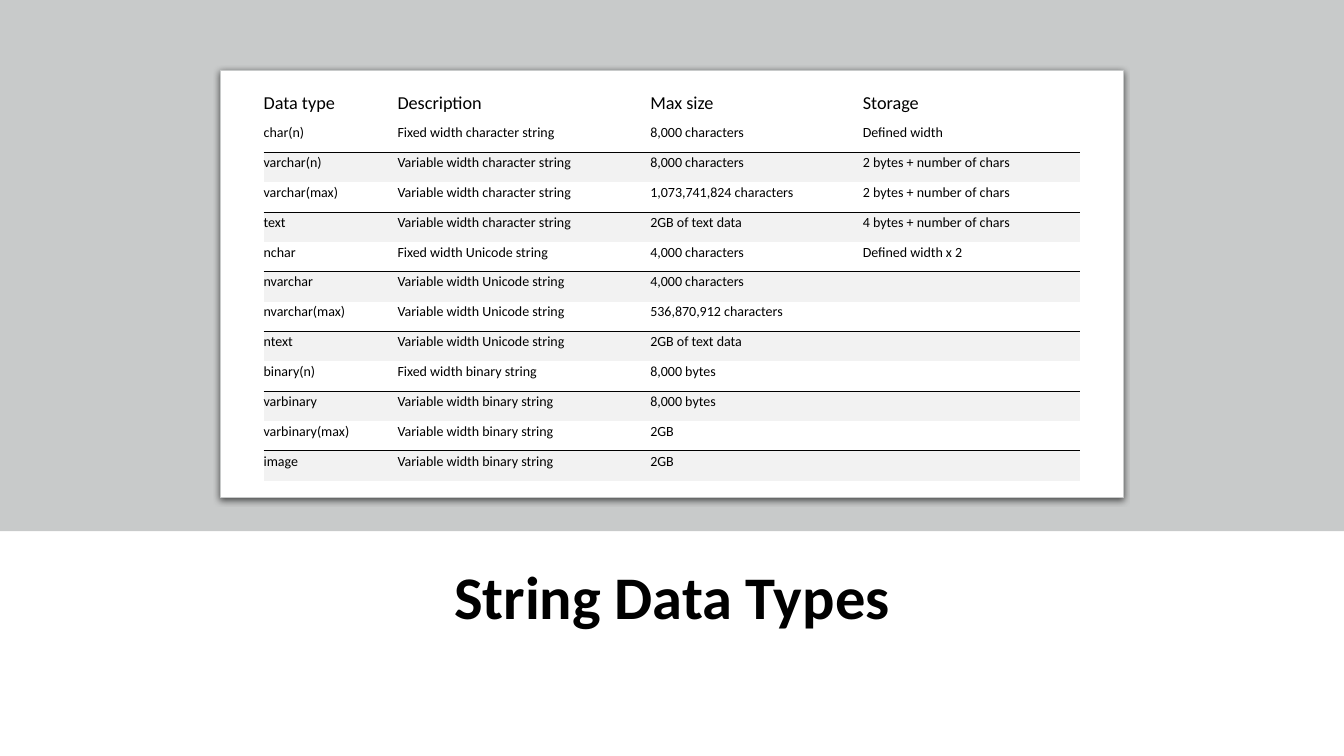
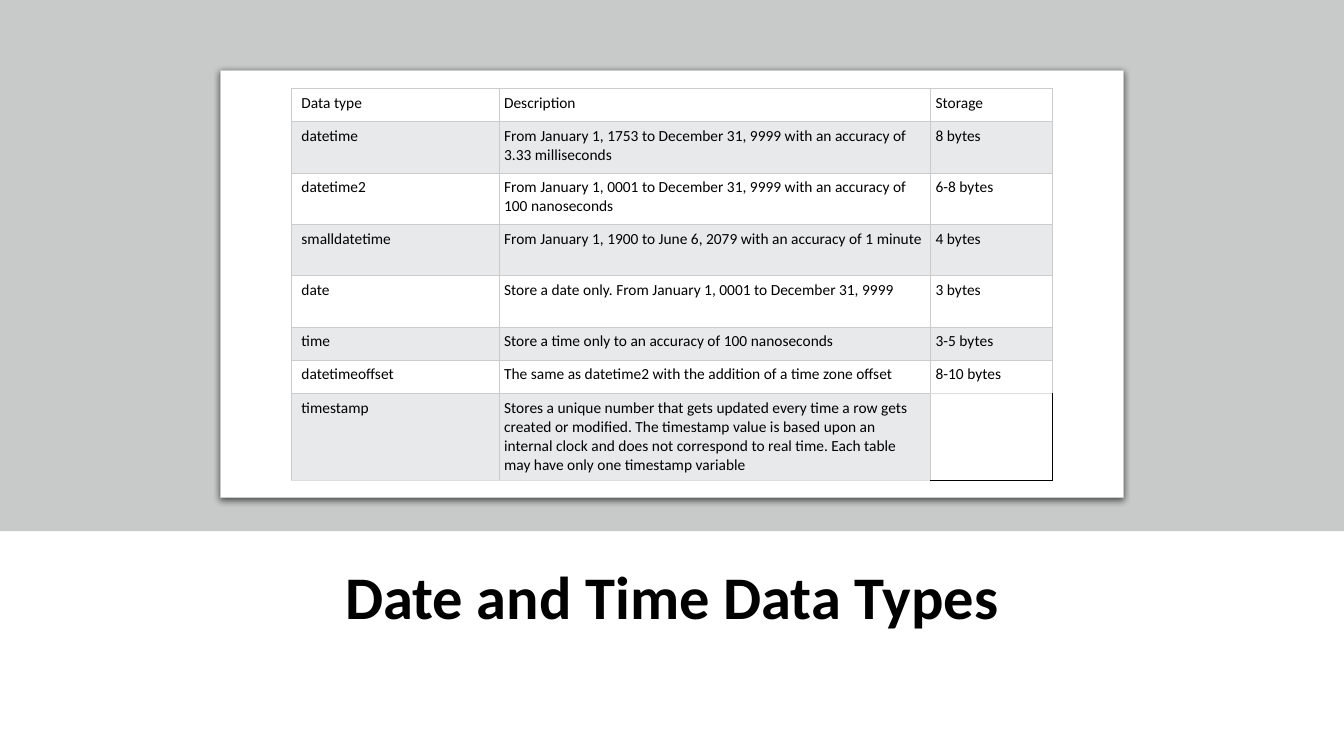
from lxml.etree import SubElement
from pptx import Presentation
from pptx.dml.color import RGBColor
from pptx.enum.shapes import MSO_SHAPE
from pptx.enum.text import MSO_ANCHOR, MSO_AUTO_SIZE, PP_ALIGN
from pptx.oxml.ns import qn
from pptx.util import Inches, Pt

THEME = {
    "font": "Calibri", "ink": "000000", "paper": "FFFFFF", "band": "C8CACA",
    "stripe": "F2F2F2", "tint": "E7E9EB", "grid": "CCCCCC", "pale": "DDDDDD",
    "title": 43.2, "head": 13, "cell": 10, "date": 11, "line": 0.75,
}
SLOTS = {
    "title": (74.53, 89.5, 9.73),
    "band": (0, 100, 70.27),
    "card": (9.33, 67.14, 56.53),
}
TABLE = (11.73, 51.87)

STRINGS = [
    ("Data type", "Description", "Max size", "Storage"),
    ("char(n)", "Fixed width character string", "8,000 characters", "Defined width"),
    ("varchar(n)", "Variable width character string", "8,000 characters", "2 bytes + number of chars"),
    ("varchar(max)", "Variable width character string", "1,073,741,824 characters", "2 bytes + number of chars"),
    ("text", "Variable width character string", "2GB of text data", "4 bytes + number of chars"),
    ("nchar", "Fixed width Unicode string", "4,000 characters", "Defined width x 2"),
    ("nvarchar", "Variable width Unicode string", "4,000 characters", ""),
    ("nvarchar(max)", "Variable width Unicode string", "536,870,912 characters", ""),
    ("ntext", "Variable width Unicode string", "2GB of text data", ""),
    ("binary(n)", "Fixed width binary string", "8,000 bytes", ""),
    ("varbinary", "Variable width binary string", "8,000 bytes", ""),
    ("varbinary(max)", "Variable width binary string", "2GB", ""),
    ("image", "Variable width binary string", "2GB", ""),
]
DATES = [
    ("Data type", "Description", "Storage"),
    ("datetime", "From January 1, 1753 to December 31, 9999 with an accuracy of 3.33 milliseconds", "8 bytes"),
    ("datetime2", "From January 1, 0001 to December 31, 9999 with an accuracy of 100 nanoseconds", "6-8 bytes"),
    ("smalldatetime", "From January 1, 1900 to June 6, 2079 with an accuracy of 1 minute", "4 bytes"),
    ("date", "Store a date only. From January 1, 0001 to December 31, 9999", "3 bytes"),
    ("time", "Store a time only to an accuracy of 100 nanoseconds", "3-5 bytes"),
    ("datetimeoffset", "The same as datetime2 with the addition of a time zone offset", "8-10 bytes"),
    ("timestamp", "Stores a unique number that gets updated every time a row gets created or modified. "
     "The timestamp value is based upon an internal clock and does not correspond to real time. "
     "Each table may have only one timestamp variable", ""),
]


def ruled(row, col):
    edge = {}
    if row:
        edge = {"B": "ink"} if row % 2 else {"T": "ink"}
    if row == len(STRINGS) - 1:
        edge["B"] = None
    return {
        "edge": edge,
        "fill": "stripe" if row and row % 2 == 0 else None,
        "size": "cell" if row else "head",
        "inset": (0, 0.02, 0.02, 0.08),
        "anchor": MSO_ANCHOR.TOP if row else MSO_ANCHOR.BOTTOM,
    }


def boxed(row, col):
    edge = dict.fromkeys("LRTB", "grid")
    fill = "tint" if row % 2 else "paper"
    last = len(DATES) - 1
    if row == last or (row, col) == (last - 1, 2):
        edge["B"] = "pale"
    if (row, col) == (last, 2):
        edge.update(R="ink", T="pale", B="ink")
        fill = None
    return {
        "edge": edge, "fill": fill, "size": "date",
        "inset": (0.05 if col else 0.1, 0.05, 0.05, 0.05),
        "anchor": MSO_ANCHOR.TOP,
    }


PAGES = [
    {"title": "String Data Types", "rows": STRINGS, "look": ruled, "wide": 60.77,
     "cols": (1.33, 2.51, 2.11, 2.16), "tall": [0.34] + [0.3] * 12},
    {"title": "Date and Time Data Types", "rows": DATES, "look": boxed, "wide": 56.64,
     "cols": (2.06, 4.28, 1.21), "tall": [0.33] + [0.51] * 4 + [0.33] * 2 + [0.87]},
]

deck = Presentation()
deck.slide_width, deck.slide_height = Inches(13.33), Inches(7.5)


def color(name):
    return RGBColor.from_string(THEME[name])


def put(item, values):
    for name, value in values.items():
        setattr(item, name, value)


def place(top, wide, tall):
    return [int(side * part / 100) for side, part in (
        (deck.slide_width, (100 - wide) / 2), (deck.slide_height, top),
        (deck.slide_width, wide), (deck.slide_height, tall))]


def style(font, size, bold=False):
    put(font, {"name": THEME["font"], "size": Pt(THEME[size]), "bold": bold})
    font.color.rgb = color("ink")


def write_title(slide, text):
    title = slide.shapes.title
    put(title, dict(zip(("left", "top", "width", "height"), place(*SLOTS["title"]))))
    frame = title.text_frame
    frame.text = text
    put(frame, {"vertical_anchor": MSO_ANCHOR.MIDDLE, "word_wrap": True,
                "auto_size": MSO_AUTO_SIZE.NONE})
    line = frame.paragraphs[0]
    put(line, {"alignment": PP_ALIGN.CENTER, "line_spacing": 0.9})
    style(line.runs[0].font, "title", True)


def draw_box(slide, kind, slot, fill):
    box = slide.shapes.add_shape(kind, *place(*SLOTS[slot]))
    box.shadow.inherit = False
    box.fill.solid()
    box.fill.fore_color.rgb = color(fill)
    box.line.fill.background()
    return box


def draw_card(slide):
    card = draw_box(slide, MSO_SHAPE.ROUNDED_RECTANGLE, "card", "paper")
    card.adjustments[0] = 0
    card.line.color.rgb = color("band")
    card.line.width = Pt(THEME["line"])
    effects = card.element.spPr.find(qn("a:effectLst"))
    shade = SubElement(effects, qn("a:outerShdw"), blurRad=str(Pt(4.5)),
                       dist=str(Pt(1.5)), dir="5400000", algn="t", rotWithShape="0")
    tone = SubElement(shade, qn("a:srgbClr"), val=THEME["ink"])
    SubElement(tone, qn("a:alpha"), val="63000")


def draw_edges(cell, edge):
    props = cell._tc.get_or_add_tcPr()
    for side in "LRTB":
        name = edge.get(side)
        line = SubElement(props, qn("a:ln" + side), w=str(Pt(THEME["line"])))
        if name:
            fill = SubElement(line, qn("a:solidFill"))
            SubElement(fill, qn("a:srgbClr"), val=THEME[name])
        else:
            SubElement(line, qn("a:noFill"))


def fill_cell(cell, text, look):
    draw_edges(cell, look["edge"])
    if look["fill"]:
        cell.fill.solid()
        cell.fill.fore_color.rgb = color(look["fill"])
    else:
        cell.fill.background()
    sides = ("margin_left", "margin_right", "margin_top", "margin_bottom")
    left, top, right, base = map(Inches, look["inset"])
    put(cell, dict(zip(sides, (left, right, top, base))))
    cell.vertical_anchor = look["anchor"]
    line = cell.text_frame.paragraphs[0]
    if text:
        run = line.add_run()
        run.text = text
        style(run.font, look["size"])
    else:
        SubElement(line._p, qn("a:endParaRPr"), sz=str(THEME[look["size"]] * 100))


def draw_table(slide, page):
    rows, cols, tall = page["rows"], page["cols"], page["tall"]
    left, top, wide, high = place(TABLE[0], page["wide"], TABLE[1])
    table = slide.shapes.add_table(len(rows), len(cols), left, top, wide, high).table
    put(table, {"first_row": False, "horz_banding": False})
    table._tbl.tblPr.find(qn("a:tableStyleId")).text = "{2D5ABB26-0587-4C30-8999-92F81FD0307C}"
    for col, share in zip(table.columns, cols):
        col.width = int(wide * share / sum(cols))
    for row, share in zip(table.rows, tall):
        row.height = int(high * share / sum(tall))
    for r, row in enumerate(rows):
        for c, text in enumerate(row):
            fill_cell(table.cell(r, c), text, page["look"](r, c))


for page in PAGES:
    slide = deck.slides.add_slide(deck.slide_layouts[5])
    write_title(slide, page["title"])
    draw_box(slide, MSO_SHAPE.RECTANGLE, "band", "band")
    draw_card(slide)
    draw_table(slide, page)

deck.save("out.pptx")
